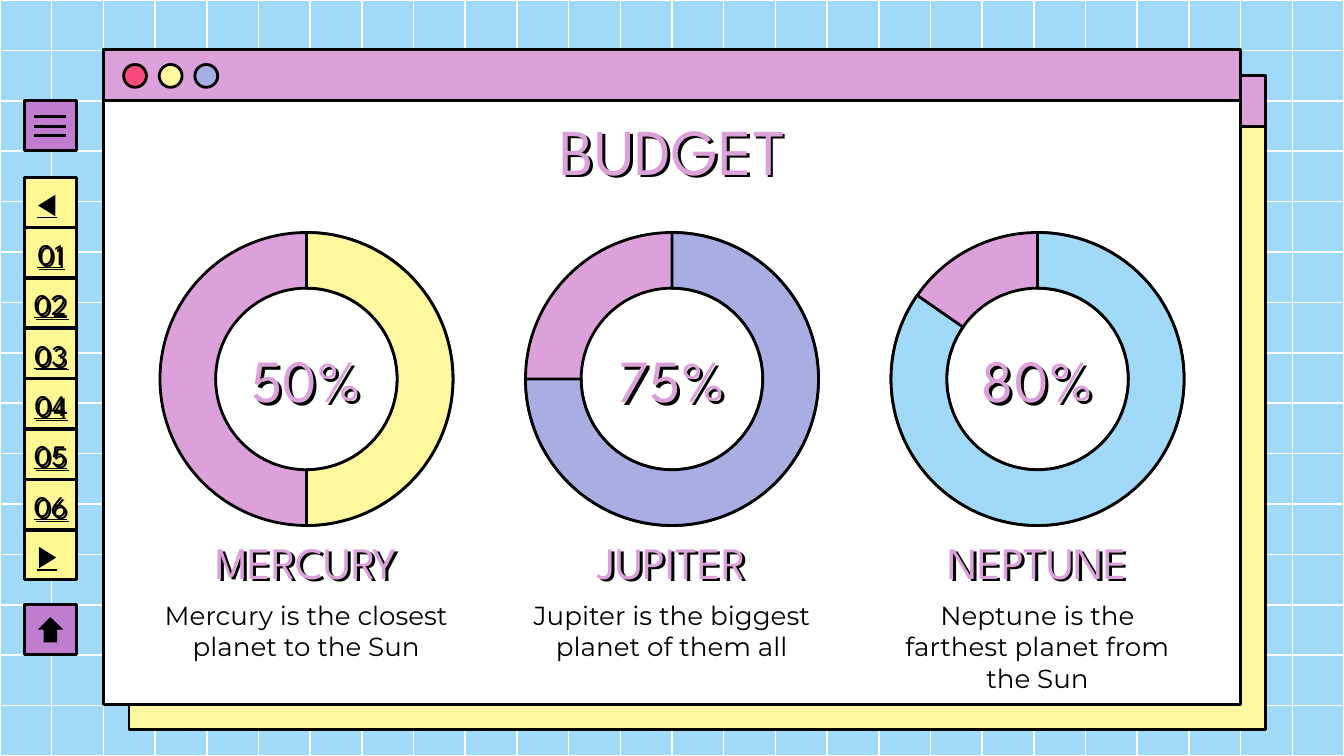
from dataclasses import dataclass

from lxml import etree
from pptx import Presentation
from pptx.dml.color import RGBColor
from pptx.enum.shapes import MSO_CONNECTOR, MSO_SHAPE
from pptx.enum.text import MSO_ANCHOR, PP_ALIGN
from pptx.oxml.ns import qn
from pptx.util import Inches, Pt

RECT, OVAL = MSO_SHAPE.RECTANGLE, MSO_SHAPE.OVAL
DONUT, ARC, UP = MSO_SHAPE.DONUT, MSO_SHAPE.BLOCK_ARC, MSO_SHAPE.UP_ARROW
STRAIGHT = MSO_CONNECTOR.STRAIGHT
TOP, MIDDLE, BOTTOM = MSO_ANCHOR.TOP, MSO_ANCHOR.MIDDLE, MSO_ANCHOR.BOTTOM
CENTER, LEFT = PP_ALIGN.CENTER, PP_ALIGN.LEFT


@dataclass(frozen=True)
class Theme:
    sky: str = "A0DAF8"
    white: str = "FFFFFF"
    black: str = "000000"
    pink: str = "DCA1DB"
    yellow: str = "FFF89E"
    tab: str = "FFF794"
    purple: str = "C07DCF"
    red: str = "FA4B7E"
    lilac: str = "A8ADE4"
    display: str = "League Spartan"
    body: str = "Montserrat"
    symbol: str = "Arial"
    title_size: float = 35
    percent_size: float = 32
    planet_size: float = 24
    nav_size: float = 16
    body_size: float = 14
    outline: float = 1.5
    grid_line: float = 0.81
    shadow: float = 2.25
    nav_shadow: float = 1.5


THEME = Theme()
TITLE = "BUDGET"
PLANETS = [
    ("MERCURY", "Mercury is the closest planet to the Sun", "50%", 90, THEME.yellow),
    ("JUPITER", "Jupiter is the biggest planet of them all", "75%", 180, THEME.lilac),
    ("NEPTUNE", "Neptune is the farthest planet from the Sun", "80%", 214.8, THEME.sky),
]
NAVIGATION = ["◀", "01", "02", "03", "04", "05", "06", "▶"]
WINDOWS = [(0.96, 0.56, THEME.yellow), (0.77, 0.37, THEME.white)]
WINDOW_BUTTONS = [THEME.red, THEME.yellow, THEME.lilac]

WIDTH = 10
HEIGHT = WIDTH * 9 / 16
COLUMNS, ROWS = 26, 15
WINDOW_W, WINDOW_H, BAR_H = 8.46, 4.87, 0.38
RING, RING_TOP, RING_GAP, RING_BAND = 2.18, 1.73, 2.72, 0.19
CAPTION_W, PERCENT_W = 2.44, 1.61
NAV_LEFT, NAV_TOP, NAV_W, NAV_H = 0.18, 1.32, 0.39, 0.37
NAV_STEP = HEIGHT / ROWS

prs = Presentation()
prs.slide_width, prs.slide_height = Inches(WIDTH), Inches(HEIGHT)
slide = prs.slides.add_slide(prs.slide_layouts[6])
slide.background.fill.solid()
slide.background.fill.fore_color.rgb = RGBColor.from_string(THEME.sky)


def add_shape(kind, left, top, width, height, fill, outline=THEME.black, weight=THEME.outline):
    """Draw a preset shape; None leaves out the fill or outline."""
    shape = slide.shapes.add_shape(kind, *map(Inches, (left, top, width, height)))
    shape.shadow.inherit = False
    for paint, color in ((shape.fill, fill), (shape.line.fill, outline)):
        if color:
            paint.solid()
            paint.fore_color.rgb = RGBColor.from_string(color)
        else:
            paint.background()
    if outline:
        shape.line.width = Pt(weight)
    return shape


def add_line(x1, y1, x2, y2, color, weight):
    """Draw a straight line without a shadow."""
    line = slide.shapes.add_connector(STRAIGHT, *map(Inches, (x1, y1, x2, y2)))
    line.line.color.rgb = RGBColor.from_string(color)
    line.line.width = Pt(weight)
    etree.SubElement(line._element.spPr, qn("a:effectLst"))


def cast_shadow(box, distance):
    """Give the text of an unfilled box a hard black shadow."""
    effects = etree.SubElement(box._element.spPr, qn("a:effectLst"))
    shadow = etree.SubElement(effects, qn("a:outerShdw"), dist=str(Pt(distance)),
                              dir="2700000", algn="bl", rotWithShape="0")
    etree.SubElement(shadow, qn("a:srgbClr"), val=THEME.black)


def write(shape, text, size, font, color, anchor=MIDDLE, align=CENTER, inset=0.1,
          underline=None):
    """Fill a shape with one formatted paragraph."""
    frame = shape.text_frame
    frame.word_wrap = True
    frame.vertical_anchor = anchor
    frame.margin_left = frame.margin_right = Inches(inset)
    frame.margin_top = frame.margin_bottom = Inches(0.1)
    frame.text = text
    paragraph = frame.paragraphs[0]
    paragraph.alignment = align
    run = paragraph.runs[0]
    run.font.size, run.font.name, run.font.underline = Pt(size), font, underline
    run.font.color.rgb = RGBColor.from_string(color)


def add_text(left, top, width, height, *content, shadow=THEME.shadow, **style):
    """Add a text box with one formatted paragraph."""
    box = slide.shapes.add_textbox(*map(Inches, (left, top, width, height)))
    write(box, *content, **style)
    if shadow:
        cast_shadow(box, shadow)


def draw_background():
    """Draw the white grid."""
    add_shape(RECT, 0, 0, WIDTH, HEIGHT, None, THEME.white, THEME.grid_line)
    for row in range(1, ROWS):
        y = row * HEIGHT / ROWS
        add_line(0, y, WIDTH, y, THEME.white, THEME.grid_line)
    for column in range(1, COLUMNS):
        x = column * WIDTH / COLUMNS
        add_line(x, 0, x, HEIGHT, THEME.white, THEME.grid_line)


def draw_windows():
    """Draw the two stacked windows and the buttons of the front one."""
    for left, top, fill in WINDOWS:
        add_shape(RECT, left, top, WINDOW_W, WINDOW_H, fill)
        add_shape(RECT, left, top, WINDOW_W, BAR_H, THEME.pink)
    for i, color in enumerate(WINDOW_BUTTONS):
        add_shape(OVAL, 0.92 + i * 0.265, 0.48, 0.17, 0.17, color)


def draw_planet(center, name, description, percent, end_angle, color):
    """Draw one ring with its percentage and caption."""
    caption_left = center - CAPTION_W / 2
    add_text(caption_left, 3.99, CAPTION_W, 0.37, name,
             THEME.planet_size, THEME.display, THEME.pink)
    add_text(caption_left, 4.36, CAPTION_W, 0.67, description,
             THEME.body_size, THEME.body, THEME.black, anchor=TOP, shadow=None)
    add_text(center - PERCENT_W / 2, 2.59, PERCENT_W, 0.45, percent,
             THEME.percent_size, THEME.display, THEME.pink)
    ring_box = (center - RING / 2, RING_TOP, RING, RING)
    add_shape(DONUT, *ring_box, THEME.pink).adjustments[0] = RING_BAND
    share = add_shape(ARC, *ring_box, color)
    for i, value in enumerate((270 * 0.6, end_angle * 0.6, RING_BAND)):
        share.adjustments[i] = value


def draw_navigation():
    """Draw the menu button, the page tabs and the up button."""
    add_shape(RECT, NAV_LEFT, 0.75, NAV_W, NAV_H, THEME.purple)
    for i in range(3):
        y = 0.87 + i * 0.07
        add_line(0.25, y, 0.49, y, THEME.black, THEME.outline)
    for i, label in enumerate(NAVIGATION):
        top = NAV_TOP + i * NAV_STEP
        tab = add_shape(RECT, NAV_LEFT, top, NAV_W, NAV_H, THEME.tab)
        if label.isdigit():
            add_text(NAV_LEFT, top + 0.07, NAV_W, 0.24, label, THEME.nav_size,
                     THEME.display, THEME.black, inset=0, underline=True,
                     shadow=THEME.nav_shadow)
        else:
            write(tab, label, THEME.nav_size, THEME.symbol, THEME.black,
                  align=LEFT, underline=True)
    add_shape(RECT, NAV_LEFT, 4.5, NAV_W, NAV_H, THEME.purple)
    add_shape(UP, 0.28, 4.59, 0.19, 0.19, THEME.black, None).adjustments[0] = 0.52


draw_background()
draw_windows()
for index, planet in enumerate(PLANETS):
    draw_planet(WIDTH / 2 + (index - 1) * RING_GAP, *planet)
draw_navigation()
add_text(0.79, 0.75, 8.43, 0.75, TITLE, THEME.title_size, THEME.display, THEME.pink,
         anchor=BOTTOM)
prs.save("out.pptx")
